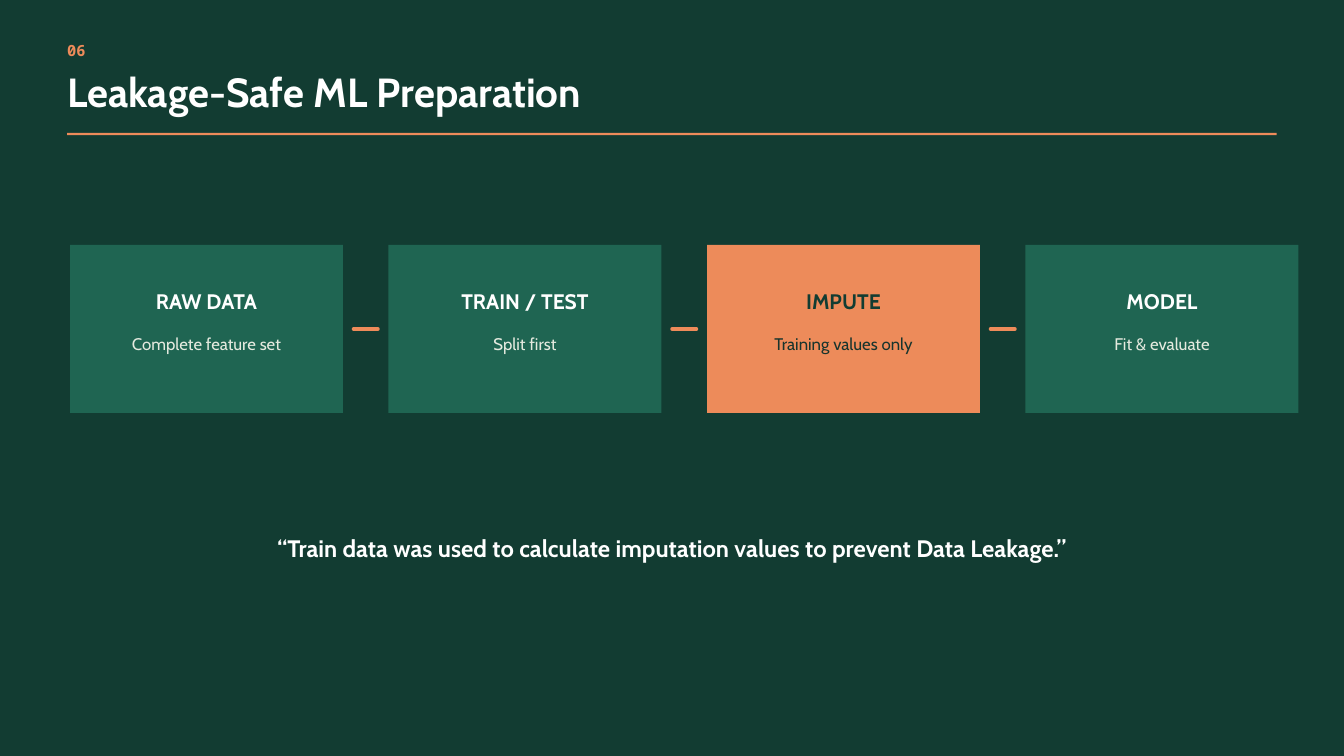
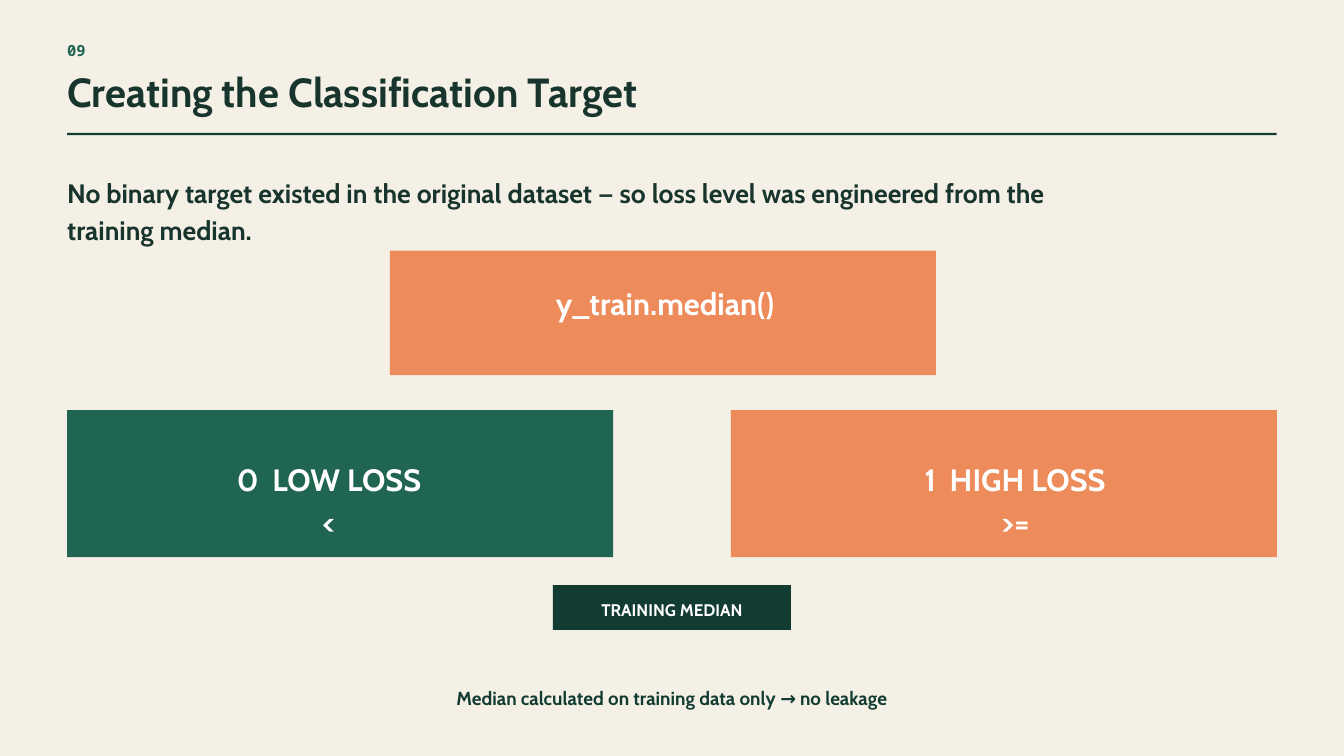
from lxml import etree
from pptx import Presentation
from pptx import util as u
from pptx.dml.color import RGBColor
from pptx.enum import shapes, text
from pptx.oxml.ns import qn

PX = 9525
HUE = {"pine": "123C32", "green": "1F6552", "coral": "ED8B5A", "cream": "F5F0E6",
       "ink": "17342D", "mist": "E5EADF", "white": "FFFFFF"}
STYLE = {
    "num": dict(name="Noto Sans Mono", size=16.5, bold=True),
    "title": dict(name="Cabin", size=43.5, bold=True),
    "lead": dict(name="Cabin", size=28.5, bold=True),
    "quote": dict(name="Cabin", size=25.5, bold=True),
    "class": dict(name="Cabin", size=33, bold=True),
    "step": dict(name="Cabin", size=22.5, bold=True),
    "body": dict(name="Cabin", size=18, bold=False),
    "tag": dict(name="Cabin", size=18, bold=True),
    "note": dict(name="Cabin", size=20.25, bold=True),
}
LEAD = {"title": 1.08}
MID = text.PP_ALIGN.CENTER
LEFT, WIDE = 96, 1728

STEPS = [
    ("RAW DATA", "Complete feature set", "green", "white", "mist"),
    ("TRAIN / TEST", "Split first", "green", "white", "mist"),
    ("IMPUTE", "Training values only", "coral", "pine", "ink"),
    ("MODEL", "Fit & evaluate", "green", "white", "mist"),
]
QUOTE = "“Train data was used to calculate imputation values to prevent Data Leakage.”"
CLASSES = [
    (["0  LOW LOSS", "<"], "green", LEFT, 220),
    (["1  HIGH LOSS", ">="], "coral", 1044, 1200),
]
INTRO = ("No binary target existed in the original dataset — so loss level "
         "was engineered from the training median.")
NOTE = "Median calculated on training data only → no leakage"


def rgb(hue):
    return RGBColor.from_string(HUE[hue])


def px(*nums):
    return [u.Emu(n * PX) for n in nums]


def block(slide, spot, hue):
    box = slide.shapes.add_shape(shapes.MSO_SHAPE.RECTANGLE, *px(*spot))
    box.shadow.inherit = False
    box.fill.solid()
    box.fill.fore_color.rgb = rgb(hue)
    box.line.fill.background()


def write(slide, spot, lines, kind, hue, align=MID):
    frame = slide.shapes.add_textbox(*px(*spot)).text_frame
    frame.word_wrap = True
    for side in ("left", "top", "right", "bottom"):
        setattr(frame, "margin_" + side, 0)
    style = STYLE[kind]
    for i, line in enumerate(lines):
        para = frame.add_paragraph() if i else frame.paragraphs[0]
        para.alignment = align
        para.line_spacing = u.Pt(round(style["size"] * LEAD.get(kind, 1.4), 1))
        run = para.add_run()
        run.text = line
        for key, val in style.items():
            setattr(run.font, key, u.Pt(val) if key == "size" else val)
        run.font.color.rgb = rgb(hue)


def dash(slide, x, y, size):
    link = slide.shapes.add_connector(
        shapes.MSO_CONNECTOR.STRAIGHT, *px(x, y, x + size, y))
    link.line.color.rgb = rgb("coral")
    link.line.width = u.Pt(3.75)
    props = link._element.spPr
    props.find(qn("a:ln")).set("cap", "rnd")
    etree.SubElement(props, qn("a:effectLst"))


def start(deck, num, title, back, mark, ink, rule):
    slide = deck.slides.add_slide(deck.slide_layouts[6])
    slide.background.fill.solid()
    slide.background.fill.fore_color.rgb = rgb(back)
    left = text.PP_ALIGN.LEFT
    write(slide, (LEFT, 55, 70, 29), [num], "num", mark, left)
    write(slide, (LEFT, 103, 1500, 64), [title], "title", ink, left)
    block(slide, (LEFT, 190, WIDE, 3), rule)
    return slide


def flow(deck):
    slide = start(deck, "06", "Leakage-Safe ML Preparation",
                  "pine", "coral", "white", "coral")
    top, wide, high, gap, pad = 350, 390, 240, 65, 30
    for i, (head, sub, fill, ink, soft) in enumerate(STEPS):
        x = 100 + i * (wide + gap)
        block(slide, (x, top, wide, high), fill)
        write(slide, (x + pad, 406, wide - 2 * pad, 40), [head], "step", ink)
        write(slide, (x + pad, 472, wide - 2 * pad, 32), [sub], "body", soft)
        if i < len(STEPS) - 1:
            dash(slide, x + wide + 15, top + high // 2, gap - 30)
    write(slide, (280, 755, 1360, 45), [QUOTE], "quote", "white")


def target(deck):
    slide = start(deck, "09", "Creating the Classification Target",
                  "cream", "green", "ink", "pine")
    for lines, fill, x, inner in CLASSES:
        block(slide, (x, 586, 780, 210), fill)
        write(slide, (inner, 649, 500, 120), lines, "class", "white")
    block(slide, (790, 836, 340, 64), "pine")
    write(slide, (812, 852, 296, 32), ["TRAINING MEDIAN"], "tag", "white")
    write(slide, (LEFT, 245, 1500, 104), [INTRO], "lead", "ink", text.PP_ALIGN.LEFT)
    write(slide, (520, 975, 880, 36), [NOTE], "note", "pine")
    block(slide, (557, 358, 780, 178), "coral")
    write(slide, (700, 398, 500, 60), ["y_train.median()"], "class", "white")


def main():
    deck = Presentation()
    deck.slide_width, deck.slide_height = px(1920, 1080)
    flow(deck)
    target(deck)
    deck.save("out.pptx")


if __name__ == "__main__":
    main()
